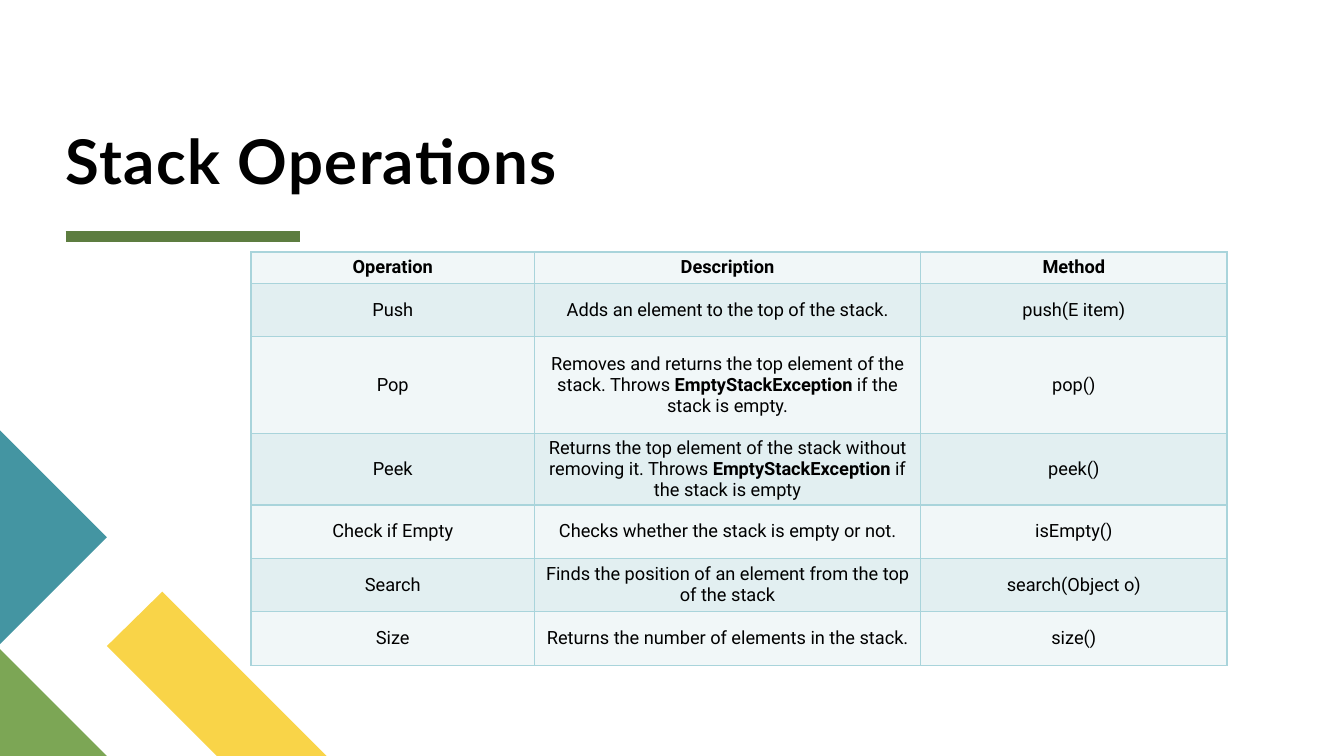
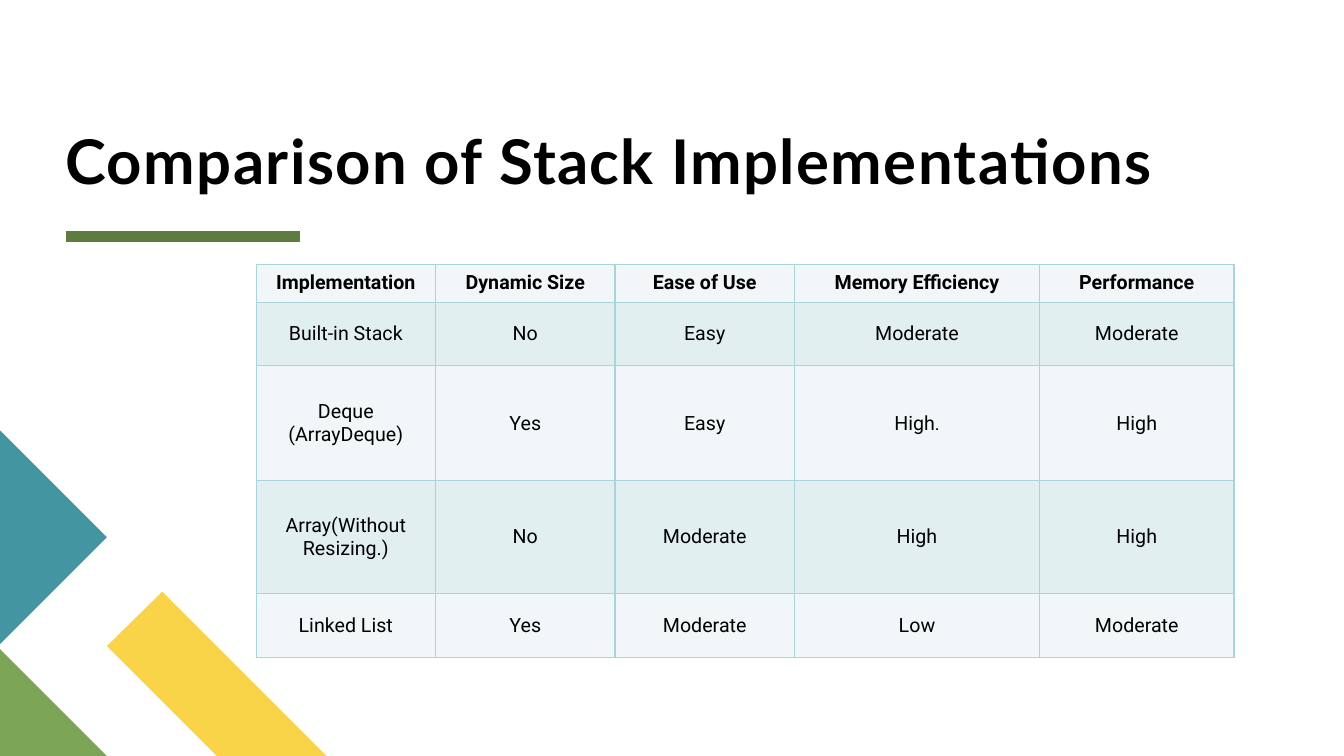
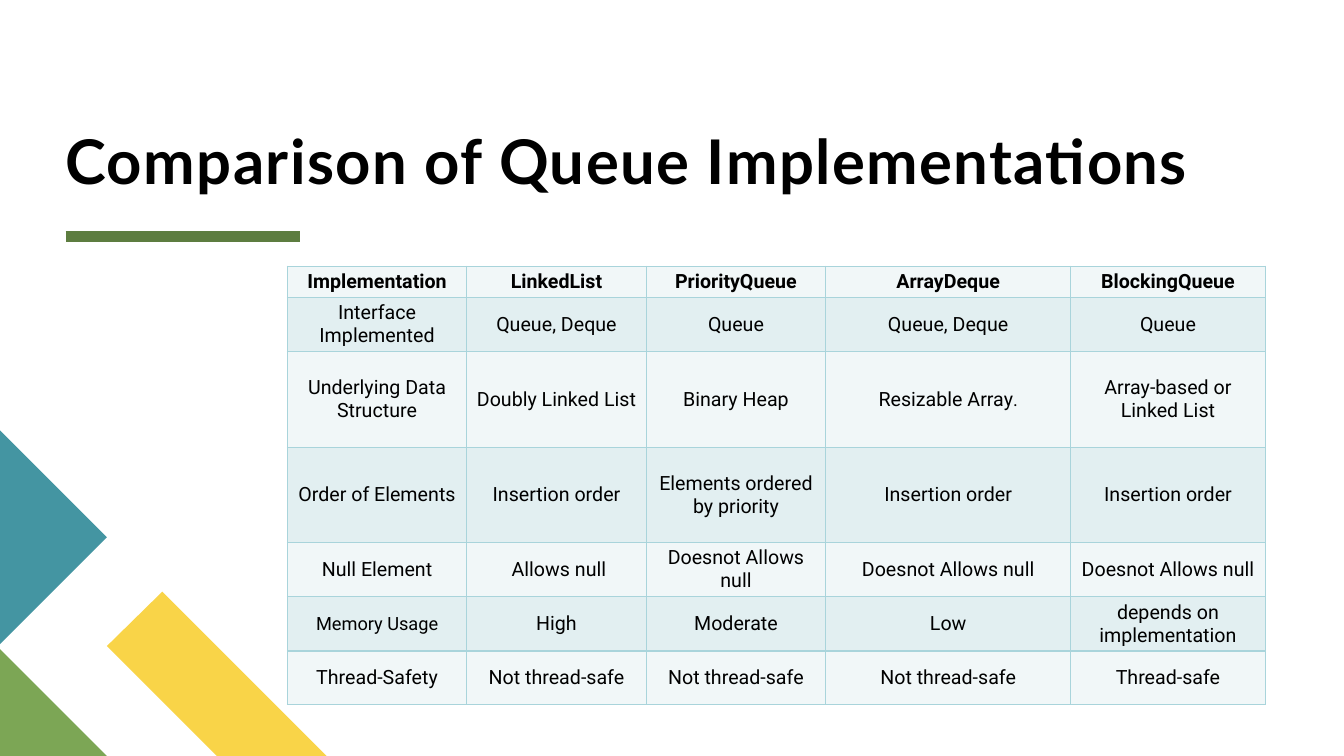
from lxml.etree import SubElement
from pptx import Presentation
from pptx.dml.color import RGBColor
from pptx.enum.shapes import MSO_CONNECTOR
from pptx.enum.text import MSO_ANCHOR, MSO_AUTO_SIZE, PP_ALIGN
from pptx.oxml.ns import qn
from pptx.util import Inches, Pt

# Palette and fonts
BLACK = RGBColor(0x00, 0x00, 0x00)
DARK_GREEN = RGBColor(0x5D, 0x7D, 0x40)
YELLOW = RGBColor(0xF9, 0xD4, 0x48)
GREEN = RGBColor(0x7C, 0xA6, 0x55)
TEAL = RGBColor(0x44, 0x95, 0xA2)
BORDER = RGBColor(0xA9, 0xD4, 0xDB)
BANDS = (RGBColor(0xF1, 0xF7, 0xF8), RGBColor(0xE2, 0xEF, 0xF1))
TITLE_FONT = {"name": "Lato", "size": Pt(44), "bold": True}
CELL_FONT = {"name": "Roboto", "bold": False}
CELL_FORMAT = {
    "margin_left": Inches(0.07), "margin_right": Inches(0.07),
    "margin_top": Inches(0.04), "margin_bottom": Inches(0.04),
    "vertical_anchor": MSO_ANCHOR.MIDDLE,
}
TITLE_FRAME = {
    "margin_left": 0, "margin_right": 0, "margin_top": 0, "margin_bottom": 0,
    "vertical_anchor": MSO_ANCHOR.BOTTOM, "word_wrap": True,
    "auto_size": MSO_AUTO_SIZE.NONE,
}

# Page geometry in inches
PAGE_WIDTH, PAGE_HEIGHT = 13.33, 7.5
TITLE_BOX = (0.65, 0.11, 11.89, 1.84)
RULE_DROP, RULE_LENGTH = 0.4, 2.33
CORNER_BOX = (0, 4.27, 3.24, 3.23)

# Corner outlines, relative to the corner box
CORNER_PIECES = (
    (YELLOW, ((3.24, 3.23), (2.15, 3.23), (1.06, 2.14), (1.61, 1.6))),
    (GREEN, ((1.06, 3.23), (0, 3.23), (0, 2.17))),
    (TEAL, ((0, 0), (1.06, 1.06), (0, 2.12))),
)

# Runs that differ from the rest of their table
EXCEPTION = ("EmptyStackException", {"bold": True})
SMALL_STOP = (".", {"size": Pt(13)})

IMPLEMENTATION_COLUMNS = (1.78, 1.78, 1.78, 2.43, 1.93)

SLIDES = (
    {
        "title": "Stack Operations",
        "origin": (2.49, 2.5),
        "columns": (2.81, 3.83, 3.04),
        "heights": (0.31, 0.53, 0.96, 0.7, 0.53, 0.53, 0.53),
        "size": Pt(13),
        "rows": (
            ("Operation", "Description", "Method"),
            ("Push", "Adds an element to the top of the stack.", "push(E item)"),
            ("Pop", ("Removes and returns the top element of the stack. Throws ",
                     EXCEPTION, " if the stack is empty."), "pop()"),
            ("Peek", ("Returns the top element of the stack without removing it. Throws ",
                      EXCEPTION, " if the stack is empty"), "peek()"),
            ("Check if Empty", "Checks whether the stack is empty or not.", "isEmpty()"),
            ("Search", "Finds the position of an element from the top of the stack",
             "search(Object o)"),
            ("Size", "Returns the number of elements in the stack.", "size()"),
        ),
    },
    {
        "title": "Comparison of Stack Implementations",
        "origin": (2.54, 2.62),
        "columns": IMPLEMENTATION_COLUMNS,
        "heights": (0.38, 0.63, 1.14, 1.12, 0.63),
        "size": Pt(14),
        "rows": (
            ("Implementation", "Dynamic Size", "Ease of Use", "Memory Efficiency", "Performance"),
            ("Built-in Stack", "No", "Easy", "Moderate", "Moderate"),
            ("Deque (ArrayDeque)", "Yes", "Easy", ("High", SMALL_STOP), "High"),
            ("Array(Without Resizing.)", "No", "Moderate", "High", "High"),
            ("Linked List", "Yes", "Moderate", "Low", "Moderate"),
        ),
    },
    {
        "title": "Comparison of Queue Implementations",
        "origin": (2.85, 2.64),
        "columns": IMPLEMENTATION_COLUMNS,
        "heights": (0.31, 0.53, 0.95, 0.94, 0.53, 0.53, 0.53),
        "size": Pt(14),
        "rows": (
            ("Implementation", "LinkedList", "PriorityQueue", "ArrayDeque", "BlockingQueue"),
            ("Interface Implemented", "Queue, Deque", "Queue", "Queue, Deque", "Queue"),
            ("Underlying Data Structure", "Doubly Linked List", "Binary Heap",
             ("Resizable Array", SMALL_STOP), "Array-based or Linked List"),
            ("Order of Elements", "Insertion order", "Elements ordered by priority",
             "Insertion order", "Insertion order"),
            ("Null Element", " Allows null", "Doesnot Allows null",
             "Doesnot Allows null", "Doesnot Allows null"),
            ((("Memory Usage", {"size": Pt(13)}),), "High", "Moderate", "Low",
             "depends on implementation"),
            ("Thread-Safety", "Not thread-safe", "Not thread-safe", "Not thread-safe",
             "Thread-safe"),
        ),
    },
)


def apply_format(target, values):
    for attribute, value in values.items():
        setattr(target, attribute, value)


def add_run(paragraph, text, font_format):
    run = paragraph.add_run()
    run.text = text
    apply_format(run.font, font_format)
    run.font.color.rgb = BLACK
    return run


def add_corner(slide, box):
    """Coloured outlines in the lower left corner."""
    left, top = box[:2]
    for color, outline in CORNER_PIECES:
        points = [(Inches(left + x), Inches(top + y)) for x, y in outline]
        builder = slide.shapes.build_freeform(*points[0], scale=1.0)
        builder.add_line_segments(points[1:], close=True)
        piece = builder.convert_to_shape()
        piece.shadow.inherit = False
        piece.fill.solid()
        piece.fill.fore_color.rgb = color
        piece.line.fill.background()


def add_title(slide, text, box):
    """Title with the thick rule below it."""
    left, top, width, height = box
    title = slide.shapes.title
    apply_format(title, dict(zip(("left", "top", "width", "height"), map(Inches, box))))
    apply_format(title.text_frame, TITLE_FRAME)
    paragraph = title.text_frame.paragraphs[0]
    apply_format(paragraph, {"alignment": PP_ALIGN.LEFT, "line_spacing": 0.8})
    run = add_run(paragraph, text, TITLE_FONT)
    run.font._element.set("spc", "100")

    rule_y = Inches(top + height + RULE_DROP)
    rule = slide.shapes.add_connector(
        MSO_CONNECTOR.STRAIGHT, Inches(left), rule_y, Inches(left + RULE_LENGTH), rule_y)
    rule.line.color.rgb = DARK_GREEN
    rule.line.width = Pt(8)
    SubElement(rule._element.spPr, qn("a:effectLst"))


def add_borders(cell):
    properties = cell._tc.get_or_add_tcPr()
    # Borders stand before the fill in the cell properties
    for position, side in enumerate(("a:lnL", "a:lnR", "a:lnT", "a:lnB")):
        border = SubElement(properties, qn(side), w=str(Pt(1)))
        fill = SubElement(border, qn("a:solidFill"))
        SubElement(fill, qn("a:srgbClr"), val=str(BORDER))
        properties.insert(position, border)


def fill_cell(cell, content, band, font_format):
    apply_format(cell, CELL_FORMAT)
    cell.fill.solid()
    cell.fill.fore_color.rgb = band
    add_borders(cell)
    paragraph = cell.text_frame.paragraphs[0]
    paragraph.alignment = PP_ALIGN.CENTER
    for part in (content,) if isinstance(content, str) else content:
        text, changes = (part, {}) if isinstance(part, str) else part
        add_run(paragraph, text, {**font_format, **changes})


def add_comparison(slide, origin, columns, heights, rows, size):
    """Banded table with a bold heading row."""
    left, top = origin
    table = slide.shapes.add_table(
        len(rows), len(columns), Inches(left), Inches(top),
        Inches(sum(columns)), Inches(sum(heights))).table
    apply_format(table, {"first_row": False, "horz_banding": False})
    for column, width in zip(table.columns, columns):
        column.width = Inches(width)
    for index, (row, height) in enumerate(zip(table.rows, heights)):
        row.height = Inches(height)
        font_format = {**CELL_FONT, "size": size, "bold": index == 0}
        for cell, content in zip(row.cells, rows[index]):
            fill_cell(cell, content, BANDS[index % 2], font_format)


def main():
    deck = Presentation()
    deck.slide_width, deck.slide_height = Inches(PAGE_WIDTH), Inches(PAGE_HEIGHT)
    title_only = deck.slide_layouts[5]
    for content in SLIDES:
        slide = deck.slides.add_slide(title_only)
        add_corner(slide, CORNER_BOX)
        add_title(slide, content["title"], TITLE_BOX)
        add_comparison(slide, content["origin"], content["columns"],
                       content["heights"], content["rows"], content["size"])
    deck.save("out.pptx")


if __name__ == "__main__":
    main()
